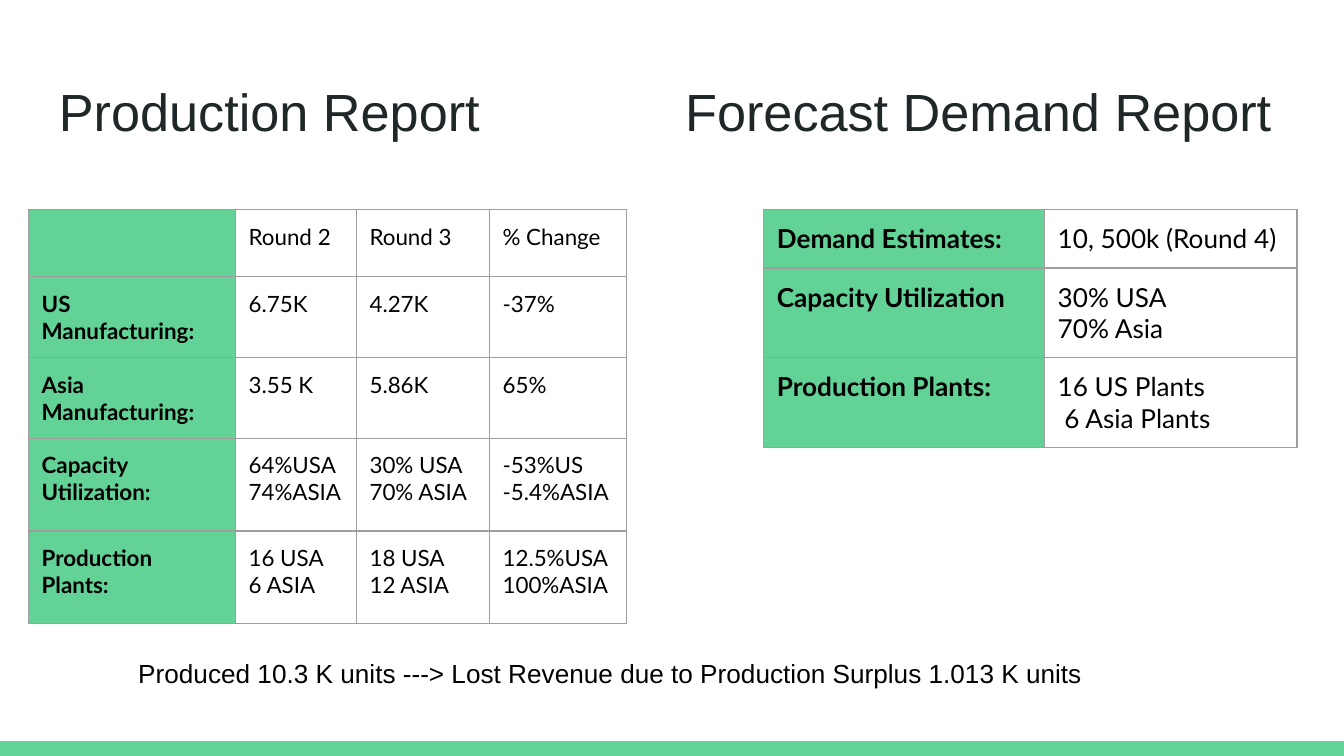
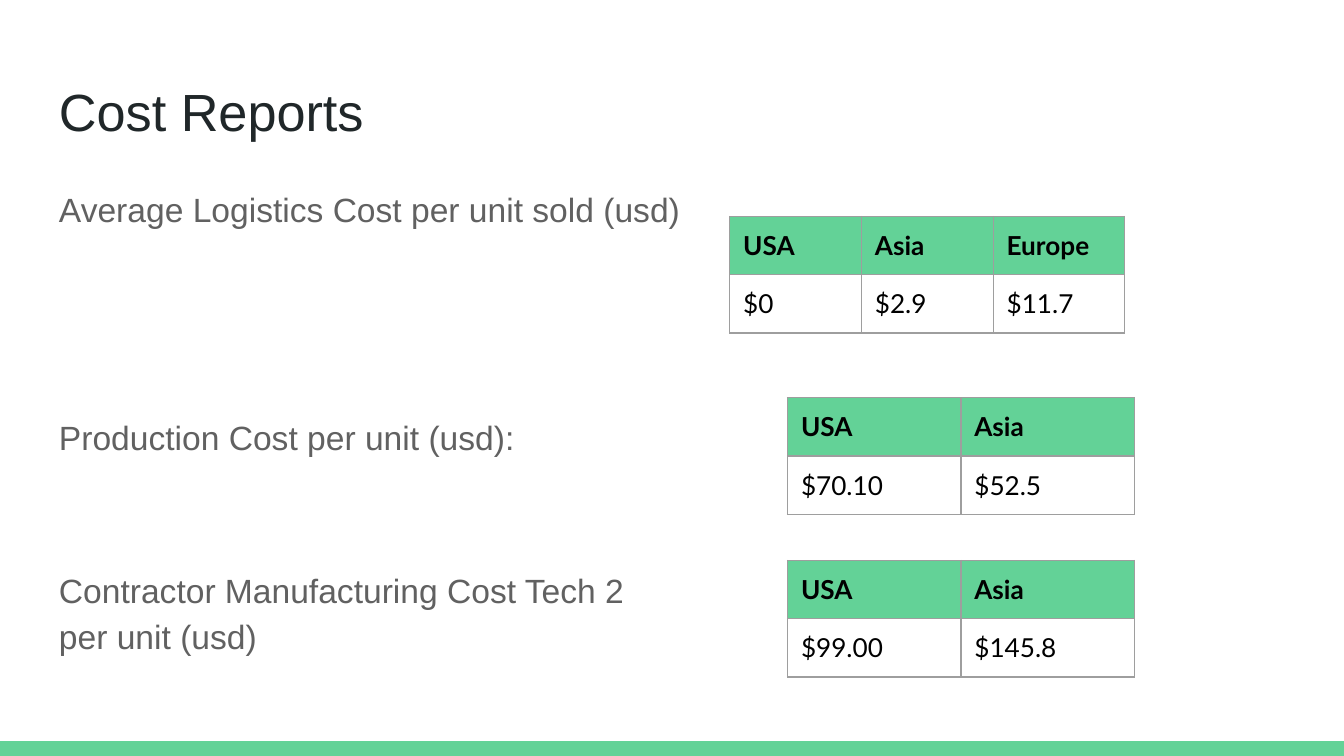
from collections import namedtuple

from lxml import etree
from pptx import Presentation
from pptx.dml.color import RGBColor
from pptx.enum.shapes import MSO_SHAPE as Shape
from pptx.enum.text import MSO_ANCHOR as Anchor
from pptx.oxml.ns import qn
from pptx.util import Inches, Pt

GREEN = RGBColor(0x63, 0xD2, 0x97)
INK = RGBColor(0x20, 0x27, 0x29)
GREY = RGBColor(0x61, 0x61, 0x61)
BLACK = RGBColor(0, 0, 0)
RULE = RGBColor(0x9E, 0x9E, 0x9E)

WIDTH, HEIGHT = Inches(10), Inches(5.625)
UNIT = WIDTH // 100            # side of a square grid cell
ROWS = HEIGHT / UNIT
PAD = UNIT                     # inset of every text box and cell
MARGIN, TITLE_TOP, TITLE_H = 3.4, 4.9, 6.3
CONTENT_W = 100 - 2 * MARGIN
BAND_H = 1.1

Box = namedtuple("Box", "x y w h")


def emu(units):
    """Turn grid units into a length."""
    return int(units * UNIT)


def write(tf, text, size=14, font="Arial", color=BLACK, bold=False,
          spacing=None, before=()):
    """Fill a text frame, one paragraph a line; a vertical tab breaks a line."""
    tf.word_wrap = True
    tf.margin_left = tf.margin_right = tf.margin_top = tf.margin_bottom = PAD
    for i, line in enumerate(text.split("\n")):
        p = tf.add_paragraph() if i else tf.paragraphs[0]
        if spacing:
            p.line_spacing = spacing
        if i < len(before):
            p.space_before = Pt(before[i])
        for j, part in enumerate(line.split("\v")):
            if j:
                p.add_line_break()
            r = p.add_run()
            r.text = part
            f = r.font
            f.size, f.name, f.bold = Pt(size), font, bold
            f.color.rgb = color


def add_text(s, box, text, **fmt):
    """Place a top-anchored text box."""
    tf = s.shapes.add_textbox(*map(emu, box)).text_frame
    tf.vertical_anchor = Anchor.TOP
    write(tf, text, **fmt)


def add_title(s, box, text):
    """Place a title in the shared style."""
    add_text(s, box, text, size=28, color=INK)


def add_band(s, box):
    """Draw the green band at the foot of a slide."""
    sp = s.shapes.add_shape(Shape.RECTANGLE, *map(emu, box))
    sp.shadow.inherit = False
    sp.fill.solid()
    sp.fill.fore_color.rgb = GREEN
    sp.line.fill.background()


def add_borders(cell):
    """Rule all four sides of a cell."""
    tcPr = cell._tc.get_or_add_tcPr()
    for side in ("lnL", "lnR", "lnT", "lnB"):
        ln = etree.SubElement(tcPr, qn(f"a:{side}"), w=str(Pt(0.75)))
        fill = etree.SubElement(ln, qn("a:solidFill"))
        etree.SubElement(fill, qn("a:srgbClr"), val=str(RULE))


def add_grid(s, x, y, cols, rows, data, is_head, size=14):
    """Place a ruled table whose head cells are green and bold."""
    box = Box(x, y, sum(cols), sum(rows))
    tbl = s.shapes.add_table(len(rows), len(cols), *map(emu, box)).table
    tbl.first_row = tbl.horz_banding = False
    for column, w in zip(tbl.columns, cols):
        column.width = emu(w)
    for row, h in zip(tbl.rows, rows):
        row.height = emu(h)
    for i, values in enumerate(data):
        for j, text in enumerate(values):
            cell = tbl.cell(i, j)
            head = is_head(i, j)
            cell.margin_left = cell.margin_right = PAD
            cell.margin_top = cell.margin_bottom = PAD
            add_borders(cell)
            if head:
                cell.fill.solid()
                cell.fill.fore_color.rgb = GREEN
            else:
                cell.fill.background()
            write(cell.text_frame, text, size=size, font="Lato", bold=head)


def first_column(i, j):
    """Tell whether a cell is a row label."""
    return j == 0


def first_row(i, j):
    """Tell whether a cell is a column label."""
    return i == 0


def new_slide(prs, *titles):
    """Add a slide with its band and equally wide titles."""
    s = prs.slides.add_slide(prs.slide_layouts[6])
    add_band(s, Box(0, ROWS - BAND_H, 100, BAND_H))
    w = CONTENT_W / len(titles)
    for i, title in enumerate(titles):
        add_title(s, Box(MARGIN + i * w, TITLE_TOP, w, TITLE_H), title)
    return s


def production_slide(prs):
    """Build the production and forecast slide."""
    s = new_slide(prs, "Production Report", "Forecast Demand Report")
    top = 15.6
    production = [
        ("", "Round 2", "Round 3", "% Change"),
        ("US Manufacturing:", "6.75K", "4.27K", "-37%"),
        ("Asia Manufacturing:", "3.55 K", "5.86K", "65%"),
        ("Capacity Utilization:", "64%USA\n74%ASIA", "30% USA\n70% ASIA",
         "-53%US\n-5.4%ASIA"),
        ("Production Plants:", "16 USA\n6 ASIA", "18 USA\n12 ASIA",
         "12.5%USA\n100%ASIA"),
    ]
    add_grid(s, 2.1, top, (15.4, 9, 9.9, 10.2), (4.6, 6, 6, 6.9, 6.9),
             production, first_column, size=12)
    forecast = [
        ("Demand Estimates:", "10, 500k (Round 4)"),
        ("Capacity Utilization", "30% USA\n70% Asia"),
        ("Production Plants:", "16 US Plants\n 6 Asia Plants"),
    ]
    add_grid(s, 56.8, top, (20.9, 18.8), (4.3, 6.6, 6.6), forecast,
             first_column)
    add_text(s, Box(9.3, 47.9, 82.2, 5.3),
             "Produced 10.3 K units ---> Lost Revenue due to "
             "Production Surplus 1.013 K units")


def cost_slide(prs):
    """Build the cost slide: labels at left, one table for each."""
    s = new_slide(prs, "Cost Reports")
    gap, line = 16, 40.8
    add_text(s, Box(MARGIN, 12.6, 50.9, 41.5),
             "Average Logistics Cost per unit sold (usd)\n"
             "Production Cost per unit (usd):\n"
             "Contractor Manufacturing Cost Tech 2\vper unit (usd)",
             size=18, color=GREY, spacing=1.15,
             before=(0, gap + 2 * line, gap + line))
    tables = [
        (54.3, 16.1, 9.8, ("USA", "Asia", "Europe"), ("$0", "$2.9", "$11.7")),
        (58.6, 29.6, 12.9, ("USA", "Asia"), ("$70.10", "$52.5")),
        (58.6, 41.7, 12.9, ("USA", "Asia"), ("$99.00", "$145.8")),
    ]
    for x, y, w, regions, costs in tables:
        add_grid(s, x, y, [w] * len(regions), (4.3, 4.3), (regions, costs),
                 first_row)


prs = Presentation()
prs.slide_width, prs.slide_height = WIDTH, HEIGHT
production_slide(prs)
cost_slide(prs)
prs.save("out.pptx")
